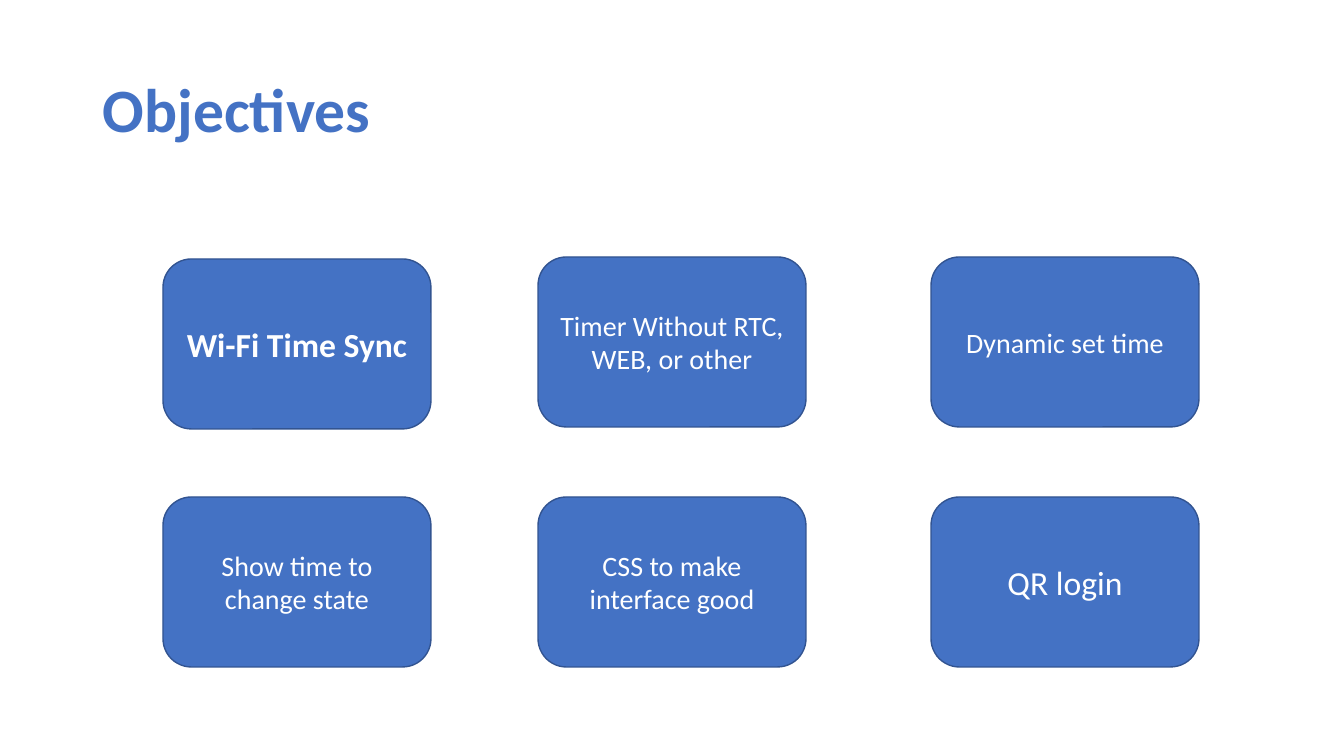
from pptx import Presentation
from pptx import util as u
from pptx.dml import color
from pptx.enum import shapes, text

PIXEL = u.Inches(1) / 100.8
BLUE, EDGE, WHITE = "4472C4", "325491", "FFFFFF"
CARD_SIZE = (268, 170)
COLUMNS = (163, 538, 931)
ROWS = (257, 497)
OBJECTIVES = (
    (("Wi-Fi Time Sync", {"size": 24, "bold": True, "drop": 2}),
     ("Timer Without RTC, WEB, or other", {}),
     ("Dynamic set time", {})),
    (("Show time to change state", {}),
     ("CSS to make interface good", {}),
     ("QR login", {"size": 24})),
)


def px(*lengths):
    """Turn pixel lengths into EMU."""
    return [u.Emu(round(length * PIXEL)) for length in lengths]


def rgb(value):
    """Turn a hex string into a colour."""
    return color.RGBColor.from_string(value)


def write(shape, words, hue, size, bold=False, **layout):
    """Put one vertically centred paragraph into a shape."""
    frame = shape.text_frame
    frame.word_wrap = True
    frame.vertical_anchor = text.MSO_ANCHOR.MIDDLE
    paragraph = frame.paragraphs[0]
    for name, value in layout.items():
        setattr(paragraph, name, value)
    run = paragraph.add_run()
    run.text = words
    for name, value in {"name": "Calibri", "size": u.Pt(size), "bold": bold}.items():
        setattr(run.font, name, value)
    run.font.color.rgb = rgb(hue)


def add_title(slide, box, words):
    """Place the slide heading in its box."""
    shape = slide.shapes.add_textbox(*px(*box))
    write(shape, words, BLUE, 44, True, line_spacing=0.9)


def add_card(slide, box, words, size=20, bold=False):
    """Place one rounded objective card in its box."""
    shape = slide.shapes.add_shape(shapes.MSO_SHAPE.ROUNDED_RECTANGLE, *px(*box))
    shape.shadow.inherit = False
    shape.fill.solid()
    shape.fill.fore_color.rgb = rgb(BLUE)
    shape.line.color.rgb = rgb(EDGE)
    shape.line.width = u.Pt(1)
    write(shape, words, WHITE, size, bold, alignment=text.PP_ALIGN.CENTER)


def add_objectives(slide, columns, rows):
    """Fill the grid of cards; a card may sit slightly below its row."""
    for top, objectives in zip(rows, OBJECTIVES):
        for left, (words, style) in zip(columns, objectives):
            style = dict(style)
            card_top = top + style.pop("drop", 0)
            add_card(slide, (left, card_top, *CARD_SIZE), words, **style)


presentation = Presentation()
presentation.slide_width, presentation.slide_height = px(1344, 756)
slide = presentation.slides.add_slide(presentation.slide_layouts[6])
add_title(slide, (93, 40, 1159, 146), "Objectives")
add_objectives(slide, COLUMNS, ROWS)
presentation.save("out.pptx")
